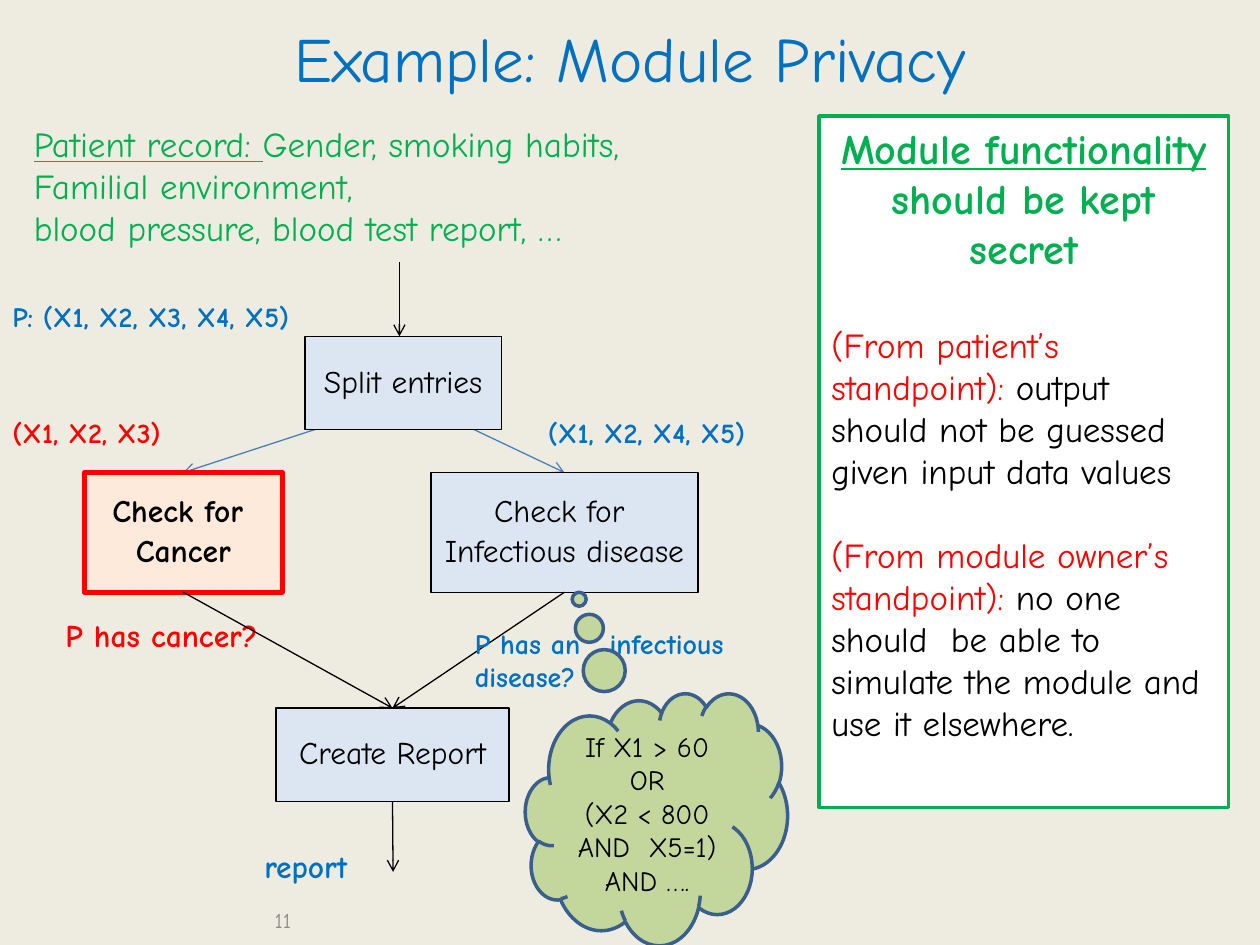
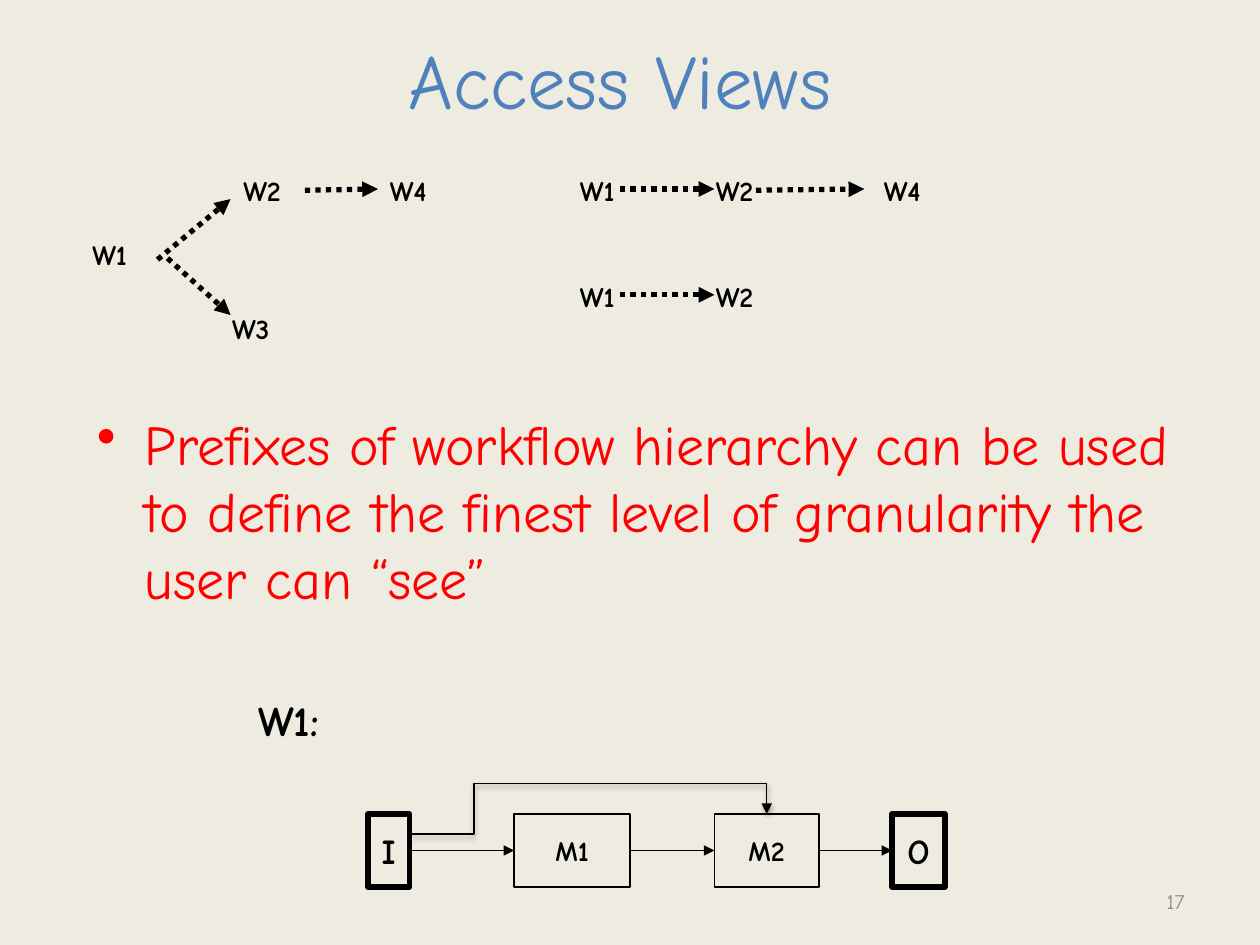
import dataclasses

import pptx
import pptx.dml.color
import pptx.enum.dml
import pptx.enum.shapes
import pptx.enum.text
import pptx.oxml
import pptx.oxml.ns
import pptx.util

Inches, Pt = pptx.util.Inches, pptx.util.Pt
Align = pptx.enum.text.PP_ALIGN
Anchor = pptx.enum.text.MSO_ANCHOR
Shape = pptx.enum.shapes.MSO_SHAPE
Connector = pptx.enum.shapes.MSO_CONNECTOR
TOP, LEFT, BOTTOM, RIGHT = range(4)


@dataclasses.dataclass(frozen=True)
class Theme:
    font: str = "Comic Neue"
    background: str = "EEECE1"
    black: str = "000000"
    white: str = "FFFFFF"
    blue: str = "0070C0"
    pale_blue: str = "DCE6F2"
    title_blue: str = "4F81BD"
    line_blue: str = "4B7EBC"
    cloud_blue: str = "3A5F8C"
    cloud_green: str = "C3D69B"
    green: str = "00B050"
    red: str = "FF0000"
    peach: str = "FDEADA"
    grey: str = "8C8C8C"
    number: int = 12
    label: int = 16
    module: int = 18
    body: int = 20
    heading: int = 24
    bullet: int = 32
    thin: float = 0.75
    medium: float = 2
    thick: float = 3


THEME = Theme()


def rgb(color):
    return pptx.dml.color.RGBColor.from_string(color)


def set_font(font, size, color, bold=False):
    font.name, font.size, font.bold = THEME.font, Pt(size), bold
    font.color.rgb = rgb(color)


def add_xml(parent, markup):
    """Append an element written with the a: prefix."""
    namespace = pptx.oxml.ns.nsdecls("a")
    tag, rest = markup[:-1].split(" ", 1) if " " in markup else (markup[:-2], "/")
    parent.append(pptx.oxml.parse_xml(f"{tag} {namespace} {rest}>"))


def write(shape, lines, size, color, bold=False, align=Align.LEFT,
          anchor=Anchor.TOP, wrap=True, gap=0, spacing=None):
    frame = shape.text_frame
    frame.word_wrap, frame.vertical_anchor = wrap, anchor
    for index, line in enumerate(lines):
        para = frame.paragraphs[0] if index == 0 else frame.add_paragraph()
        para.text, para.alignment = line, align
        if index and gap:
            para.space_before = Pt(gap)
        if spacing:
            para.line_spacing = spacing
        set_font(para.font, size, color, bold)
    return frame


@dataclasses.dataclass
class Region:
    """An area of a page; everything in it is placed from its top left corner."""
    page: object
    left: float
    top: float
    width: float = 0
    height: float = 0

    def place(self, x, y):
        return Inches(self.left + x), Inches(self.top + y)

    def text(self, x, y, width, height, lines, size, color, **style):
        box = self.page.shapes.add_textbox(*self.place(x, y), Inches(width), Inches(height))
        write(box, lines, size, color, **style)
        return box

    def shape(self, kind, x, y, width, height, fill, line, weight):
        shape = self.page.shapes.add_shape(kind, *self.place(x, y), Inches(width), Inches(height))
        shape.shadow.inherit = False
        if fill:
            shape.fill.solid()
            shape.fill.fore_color.rgb = rgb(fill)
        else:
            shape.fill.background()
        shape.line.color.rgb, shape.line.width = rgb(line), Pt(weight)
        return shape

    def arrow(self, start, end, head="arrow", color=THEME.black, weight=THEME.thin,
              dotted=False, kind=Connector.STRAIGHT):
        """Each end is an (x, y) point or a (shape, side) pair to join."""
        points = [self.place(*spot) if isinstance(spot[0], (int, float)) else (0, 0)
                  for spot in (start, end)]
        arrow = self.page.shapes.add_connector(kind, *points[0], *points[1])
        arrow.line.color.rgb, arrow.line.width = rgb(color), Pt(weight)
        if dotted:
            arrow.line.dash_style = pptx.enum.dml.MSO_LINE.ROUND_DOT
        add_xml(arrow.line._get_or_add_ln(), f'<a:tailEnd type="{head}"/>')
        add_xml(arrow._element.spPr, "<a:effectLst/>")
        for spot, join in ((start, arrow.begin_connect), (end, arrow.end_connect)):
            if not isinstance(spot[0], (int, float)):
                join(*spot)
        return arrow


def add_page(deck):
    page = deck.slides.add_slide(deck.slide_layouts[6])
    page.background.fill.solid()
    page.background.fill.fore_color.rgb = rgb(THEME.background)
    return page


def title(region, words, size, color):
    region.text(0, 0, region.width, region.height, [words], size, color,
                align=Align.CENTER, anchor=Anchor.MIDDLE)


def page_number(region, number):
    region.text(0, 0, 2.33, 0.4, [number], THEME.number, THEME.grey,
                align=Align.RIGHT, anchor=Anchor.MIDDLE)


def patient_record(region):
    box = region.text(0, 0, region.width, region.height,
                      ["", "Familial environment,", "blood pressure, blood test report, …"],
                      THEME.body, THEME.green)
    first = box.text_frame.paragraphs[0]
    for words, underline in (("Patient record: ", True), ("Gender, smoking habits,", False)):
        span = first.add_run()
        span.text, span.font.underline = words, underline


def module_box(region, x, y, width, height, lines, critical=False):
    fill, line, weight = ((THEME.peach, THEME.red, THEME.thick) if critical
                          else (THEME.pale_blue, THEME.black, THEME.thin))
    box = region.shape(Shape.RECTANGLE, x, y, width, height, fill, line, weight)
    write(box, lines, THEME.module, THEME.black, bold=critical, align=Align.CENTER,
          anchor=Anchor.MIDDLE, wrap=False, gap=3.6, spacing=0.9)
    return box


def diagnosis_workflow(region):
    to_cancer = region.arrow((3.08, 1.22), (1.45, 1.75), color=THEME.line_blue)
    to_infection = region.arrow((3.7, 1.38), (4.48, 1.75), color=THEME.line_blue)

    for x, y, width, words, size, color in (
            (0, 0.33, 3.08, "P: (X1, X2, X3, X4, X5)", THEME.label, THEME.blue),
            (0, 1.25, 1.92, "(X1, X2, X3)", THEME.label, THEME.red),
            (4.25, 1.25, 2.17, "(X1, X2, X4, X5)", THEME.label, THEME.blue),
            (0.42, 2.84, 2.5, "P has cancer?", THEME.module, THEME.red),
            (2, 4.67, 0.97, "report", THEME.module, THEME.blue)):
        region.text(x, y, width, 0.4, [words], size, color, bold=True)

    module_box(region, 2.42, 0.67, 1.56, 0.74, ["Split entries"])
    cancer = module_box(region, 0.67, 1.75, 1.57, 0.95, ["Check for ", "Cancer"], critical=True)
    infection = module_box(region, 3.42, 1.75, 2.12, 0.95, ["Check for ", "Infectious disease"])
    report = module_box(region, 2.19, 3.62, 1.85, 0.74, ["Create Report"])

    to_cancer.end_connect(cancer, TOP)
    to_infection.end_connect(infection, TOP)
    region.arrow((3.17, 0.08), (3.17, 0.67))
    region.arrow((report, BOTTOM), (3.12, 4.92))
    for check in (cancer, infection):
        region.arrow((check, BOTTOM), (report, TOP))


def infection_rule(region):
    question = region.text(0, 0, 2.75, 0.64, [""], THEME.label, THEME.blue, bold=True)
    para = question.text_frame.paragraphs[0]
    para.text = "P has an\tinfectious disease?"
    tabs = pptx.oxml.parse_xml(
        f'<a:tabLst {pptx.oxml.ns.nsdecls("a")}><a:tab pos="{Inches(1.07)}" algn="l"/></a:tabLst>')
    para._p.get_or_add_pPr().insert(0, tabs)

    cloud = region.shape(Shape.CLOUD_CALLOUT, 0.5, 0.58, 2.08, 2,
                         THEME.cloud_green, THEME.cloud_blue, THEME.medium)
    cloud.adjustments[0], cloud.adjustments[1] = -0.295, -0.872
    write(cloud, ["If X1 > 60 OR", "(X2 < 800 AND  X5=1) AND …."], THEME.label, THEME.black,
          align=Align.CENTER, anchor=Anchor.MIDDLE)


def secrecy_panel(region):
    panel = region.shape(Shape.RECTANGLE, 0, 0, region.width, region.height,
                         THEME.white, THEME.green, THEME.medium)
    frame = write(panel, ["", "", ""], THEME.body, THEME.black)
    heading, patient, owner = frame.paragraphs
    heading.alignment = Align.CENTER
    set_font(heading.font, THEME.heading, THEME.green, bold=True)
    for words, underline in (("Module functionality ", True), ("should be kept secret", False)):
        span = heading.add_run()
        span.text, span.font.underline = words, underline
    for para, gap, who, demand in (
            (patient, 28.6, "(From patient’s standpoint): ",
             "output should not be guessed given input data values"),
            (owner, 24, "(From module owner’s standpoint): ",
             "no one should  be able to simulate the module and use it elsewhere.")):
        para.space_before = Pt(gap)
        for words, color in ((who, THEME.red), (demand, THEME.black)):
            span = para.add_run()
            span.text, span.font.color.rgb = words, rgb(color)


def access_view(region, labels, arrows):
    """Workflow names at (x, y), joined by dotted arrows."""
    for words, x, y in labels:
        region.text(x, y, 0.82, 0.37, [words], THEME.label, THEME.black,
                    bold=True, align=Align.CENTER)
    for start, end in arrows:
        region.arrow(start, end, "triangle", weight=THEME.thick, dotted=True)


def bullet_text(region, words):
    box = region.text(0, 0, region.width, region.height, [words], THEME.bullet, THEME.red)
    properties = box.text_frame.paragraphs[0]._p.get_or_add_pPr()
    properties.set("marL", str(Inches(0.38)))
    properties.set("indent", str(-Inches(0.38)))
    bullet = pptx.oxml.parse_xml(f'<a:buChar {pptx.oxml.ns.nsdecls("a")} char="•"/>')
    properties.insert(0, bullet)


def pipeline(region):
    region.text(0, 0, 1.08, 0.5, ["W1:"], THEME.heading, THEME.black,
                bold=True, align=Align.CENTER)
    steps = []
    for words, x, width, size, weight in (("I", 1.17, 0.33, THEME.body, THEME.thick),
                                          ("M1", 2.33, 0.92, THEME.label, THEME.thin),
                                          ("M2", 3.92, 0.83, THEME.label, THEME.thin),
                                          ("O", 5.33, 0.42, THEME.body, THEME.thick)):
        step = region.shape(Shape.RECTANGLE, x, 1, width, 0.58, None, THEME.black, weight)
        write(step, [words], size, THEME.black, bold=True, align=Align.CENTER,
              anchor=Anchor.MIDDLE, wrap=False)
        steps.append(step)
    for before, after in zip(steps, steps[1:]):
        region.arrow((before, RIGHT), (after, LEFT), "triangle")

    bypass = region.arrow((1.5, 1.16), (steps[2], TOP), "triangle", kind=Connector.ELBOW)
    properties = bypass._element.spPr
    properties.prstGeom.set("prst", "bentConnector4")
    for name, value in (("adj1", 18100), ("adj2", 250000)):
        add_xml(properties.prstGeom.get_or_add_avLst(), f'<a:gd name="{name}" fmla="val {value}"/>')
    shadow = pptx.oxml.parse_xml(
        f'<a:outerShdw {pptx.oxml.ns.nsdecls("a")} blurRad="{Pt(3.1)}" dist="{Pt(1.6)}" dir="5400000">'
        '<a:srgbClr val="000000"><a:alpha val="38000"/></a:srgbClr></a:outerShdw>')
    properties.find(pptx.oxml.ns.qn("a:effectLst")).append(shadow)


def module_privacy_page(deck):
    page = add_page(deck)
    title(Region(page, 0.5, 0.08, 9, 0.75), "Example: Module Privacy", 36, THEME.blue)
    page_number(Region(page, 0.08, 7.1), "11")
    diagnosis_workflow(Region(page, 0, 2))
    patient_record(Region(page, 0.17, 0.92, 6.17, 1.11))
    infection_rule(Region(page, 3.67, 4.92))
    secrecy_panel(Region(page, 6.5, 0.92, 3.25, 5.49))


def access_views_page(deck):
    page = add_page(deck)
    title(Region(page, 0.42, 0, 9, 1.25), "Access Views", 44, THEME.title_blue)
    bullet_text(Region(page, 0.67, 3.2, 9, 3.67),
                "Prefixes of workflow hierarchy can be used to define the finest level of "
                "granularity the user can “see”")
    page_number(Region(page, 7.17, 6.95), "17")
    access_view(Region(page, 0.46, 1.33),
                [("W1", 0, 0.51), ("W3", 1.12, 1.09), ("W2", 1.21, 0), ("W4", 2.37, 0)],
                [((0.87, 0.72), (1.37, 1.17)), ((0.79, 0.73), (1.37, 0.25)),
                 ((1.96, 0.18), (2.54, 0.17))])
    first_pair, first_arrow = [("W1", 0, 0), ("W2", 1.09, 0)], ((0.59, 0.17), (1.34, 0.17))
    access_view(Region(page, 4.33, 1.33), first_pair + [("W4", 2.42, 0)],
                [first_arrow, ((1.67, 0.18), (2.53, 0.17))])
    access_view(Region(page, 4.33, 2.17), first_pair, [first_arrow])
    pipeline(Region(page, 1.75, 5.46))


def main():
    deck = pptx.Presentation()
    deck.slide_width, deck.slide_height = Inches(10), Inches(7.5)
    module_privacy_page(deck)
    access_views_page(deck)
    deck.save("out.pptx")


if __name__ == "__main__":
    main()
